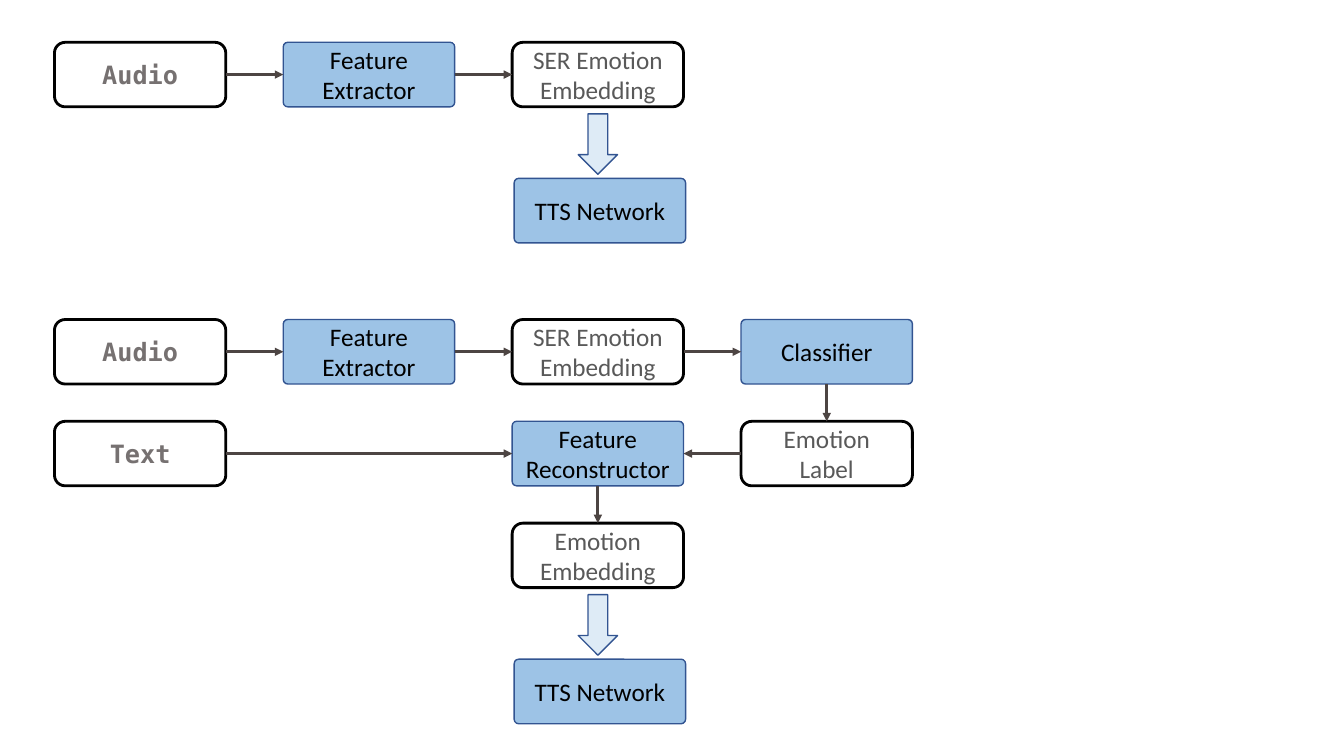
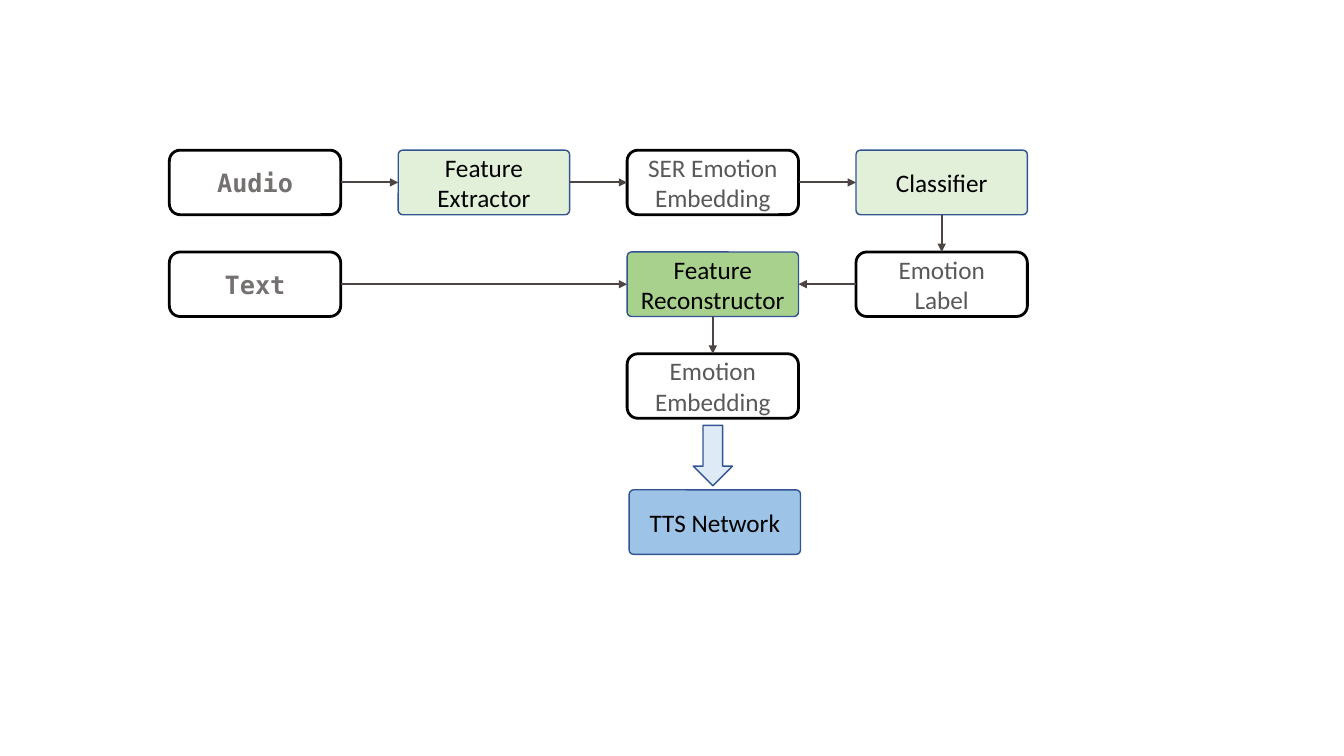
from dataclasses import dataclass

from lxml import etree
from pptx import Presentation
from pptx.dml.color import RGBColor
from pptx.enum import shapes, text
from pptx.oxml import ns
from pptx.util import Inches, Pt


@dataclass(frozen=True)
class Theme:
    body_font: str = "Calibri"
    input_font: str = "DejaVu Sans Mono"
    size: int = 18
    black: str = "000000"
    white: str = "FFFFFF"
    input_text: str = "767171"
    data_text: str = "595959"
    blue: str = "9DC3E6"
    pale_green: str = "E2F0D9"
    green: str = "A9D18E"
    module_line: str = "325491"
    connector: str = "4D4543"
    data_width: float = 2
    module_width: float = 1


THEME = Theme()
BOX_W, BOX_H = 1.7, 0.64
COL_STEP, ROW_STEP = 2.27, 1.01
ARROW_W, ARROW_H = 0.39, 0.6
ARROW_DROP, TTS_DROP, TTS_SHIFT = 0.71, 1.35, 0.02
TOP, LEFT, BOTTOM, RIGHT = range(4)  # connection sites of a rounded rectangle


def write_text(sp, content, font=THEME.body_font, color=THEME.black, bold=False):
    tf = sp.text_frame
    tf.word_wrap = True
    tf.vertical_anchor = text.MSO_ANCHOR.MIDDLE
    p = tf.paragraphs[0]
    p.alignment = text.PP_ALIGN.CENTER
    r = p.add_run()
    r.text = content
    r.font.name = font
    r.font.size = Pt(THEME.size)
    r.font.bold = bold
    r.font.color.rgb = RGBColor.from_string(color)


def add_filled(s, kind, box, fill, line, width, opacity=100):
    sp = s.shapes.add_shape(kind, *(Inches(v) for v in box))
    sp.shadow.inherit = False
    sp.fill.solid()
    sp.fill.fore_color.rgb = RGBColor.from_string(fill)
    sp.line.color.rgb = RGBColor.from_string(line)
    sp.line.width = Pt(width)
    if opacity < 100:
        color = sp.fill._xPr.find(ns.qn("a:solidFill"))[0]
        etree.SubElement(color, ns.qn("a:alpha"), val=str(opacity * 1000))
    return sp


def add_data(s, left, top, label, **text_format):
    """Outlined box for an input or an intermediate result."""
    sp = add_filled(s, shapes.MSO_SHAPE.ROUNDED_RECTANGLE, (left, top, BOX_W, BOX_H),
                    THEME.white, THEME.black, THEME.data_width, opacity=25)
    write_text(sp, label, **{"color": THEME.data_text, **text_format})
    return sp


def add_input(s, left, top, label):
    return add_data(s, left, top, label, font=THEME.input_font,
                    color=THEME.input_text, bold=True)


def add_module(s, left, top, label, fill=THEME.blue):
    """Filled box for a processing step."""
    sp = add_filled(s, shapes.MSO_SHAPE.ROUNDED_RECTANGLE, (left, top, BOX_W, BOX_H),
                    fill, THEME.module_line, THEME.module_width)
    sp.adjustments[0] = 0.07
    write_text(sp, label)
    return sp


def link(s, start, start_site, end, end_site, width):
    line = s.shapes.add_connector(shapes.MSO_CONNECTOR.STRAIGHT, 0, 0, 0, 0)
    line.begin_connect(start, start_site)
    line.end_connect(end, end_site)
    line.line.color.rgb = RGBColor.from_string(THEME.connector)
    line.line.width = Pt(width)
    etree.SubElement(line.line._get_or_add_ln(), ns.qn("a:tailEnd"), type="triangle")
    etree.SubElement(line._element.spPr, ns.qn("a:effectLst"))


def column(left, index):
    return left + index * COL_STEP


def audio_chain(s, left, top, fill, width):
    """Audio to speech emotion embedding; returns the embedding box."""
    audio = add_input(s, left, top, "Audio")
    extractor = add_module(s, column(left, 1), top, "Feature Extractor", fill)
    embedding = add_data(s, column(left, 2), top, "SER Emotion Embedding")
    link(s, audio, RIGHT, extractor, LEFT, width)
    link(s, extractor, RIGHT, embedding, LEFT, width)
    return embedding


def tts_output(s, left, top):
    """Block arrow and TTS box below the embedding box at left, top."""
    add_filled(s, shapes.MSO_SHAPE.DOWN_ARROW,
               (left + (BOX_W - ARROW_W) / 2, top + ARROW_DROP, ARROW_W, ARROW_H),
               THEME.blue, THEME.module_line, THEME.module_width, opacity=33)
    add_module(s, left + TTS_SHIFT, top + TTS_DROP, "TTS Network")


def direct_pipeline(s, left, top, width):
    audio_chain(s, left, top, THEME.blue, width)
    tts_output(s, column(left, 2), top)


def reconstruction_pipeline(s, left, top, width, analysis_fill=THEME.blue,
                            reconstructor_fill=THEME.blue):
    middle, last = column(left, 2), column(left, 3)
    row2, row3 = top + ROW_STEP, top + 2 * ROW_STEP
    ser = audio_chain(s, left, top, analysis_fill, width)
    classifier = add_module(s, last, top, "Classifier", analysis_fill)
    source = add_input(s, left, row2, "Text")
    label = add_data(s, last, row2, "Emotion Label")
    reconstructor = add_module(s, middle, row2, "Feature Reconstructor",
                               reconstructor_fill)
    embedding = add_data(s, middle, row3, "Emotion Embedding")
    for start, start_site, end, end_site in (
        (ser, RIGHT, classifier, LEFT),
        (classifier, BOTTOM, label, TOP),
        (source, RIGHT, reconstructor, LEFT),
        (label, LEFT, reconstructor, RIGHT),
        (reconstructor, BOTTOM, embedding, TOP),
    ):
        link(s, start, start_site, end, end_site, width)
    tts_output(s, middle, row3)


def main():
    prs = Presentation()
    prs.slide_width, prs.slide_height = Inches(13.33), Inches(7.5)
    blank = prs.slide_layouts[6]

    s = prs.slides.add_slide(blank)
    direct_pipeline(s, 0.54, 0.42, width=2)
    reconstruction_pipeline(s, 0.54, 3.17, width=2)

    s = prs.slides.add_slide(blank)
    reconstruction_pipeline(s, 1.68, 1.49, width=1.5, analysis_fill=THEME.pale_green,
                            reconstructor_fill=THEME.green)

    prs.save("out.pptx")


if __name__ == "__main__":
    main()
